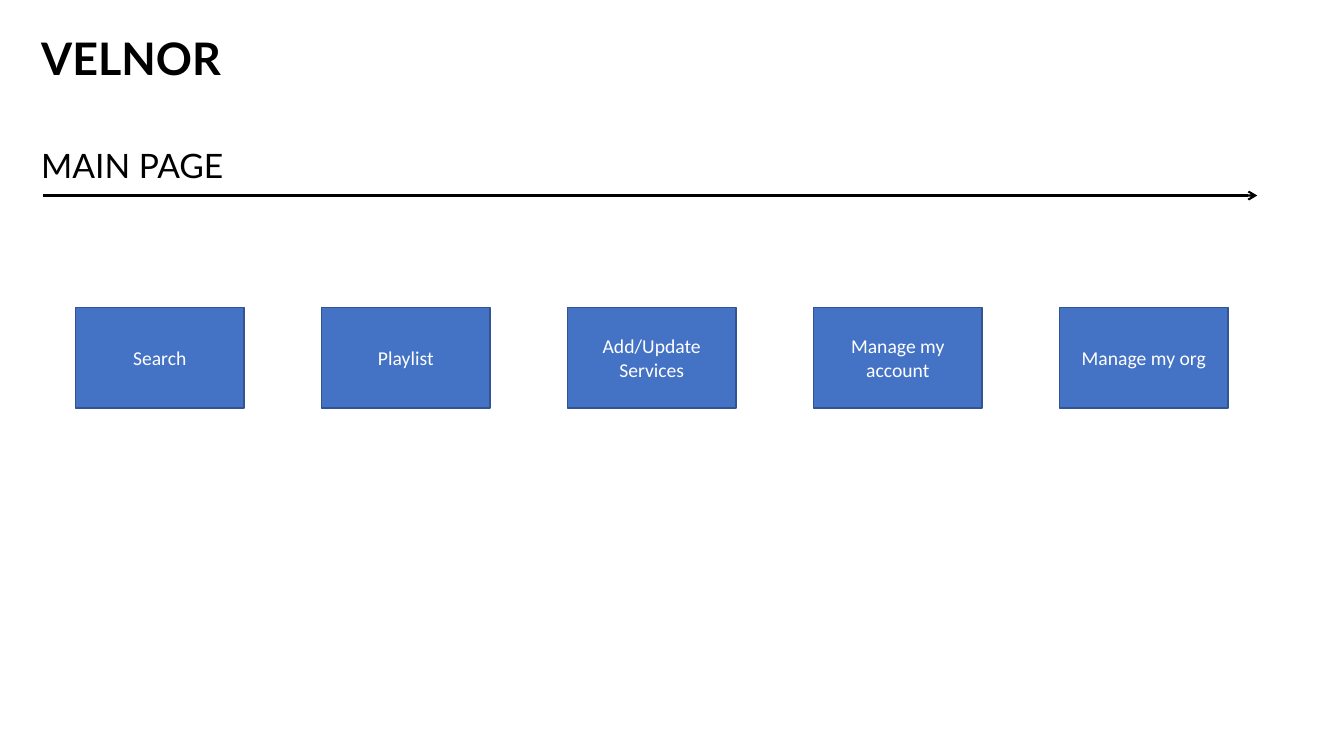
from lxml import etree
from pptx import Presentation
from pptx.dml.color import RGBColor
from pptx.enum import shapes, text
from pptx.oxml import ns
from pptx.util import Inches, Pt

BLACK = RGBColor(0x00, 0x00, 0x00)
WHITE = RGBColor(0xFF, 0xFF, 0xFF)
BLUE = RGBColor(0x44, 0x72, 0xC4)
DARK_BLUE = RGBColor(0x32, 0x54, 0x91)

MENU = ["Search", "Playlist", "Add/Update Services", "Manage my account", "Manage my org"]
MENU_LEFT, MENU_STEP = 0.75, 2.44


def add_heading(page, words, top, width, size, bold):
    """Add a left-aligned heading in Lato."""
    box = page.shapes.add_textbox(Inches(0.31), Inches(top), Inches(width), Inches(0.41))
    box.text_frame.word_wrap = True
    para = box.text_frame.paragraphs[0]
    para.text = words
    para.line_spacing = 0.9
    para.space_before = Pt(10)
    para.font.name = "Lato"
    para.font.size = Pt(size)
    para.font.bold = bold
    para.font.color.rgb = BLACK


deck = Presentation()
deck.slide_width, deck.slide_height = Inches(13.33), Inches(7.5)
page = deck.slides.add_slide(deck.slide_layouts[6])

add_heading(page, "VELNOR", 0.32, 9.89, 32, True)

# Arrow under the page heading
arrow = page.shapes.add_connector(
    shapes.MSO_CONNECTOR.STRAIGHT, Inches(0.43), Inches(1.94), Inches(12.47), Inches(1.94))
arrow.line.color.rgb = BLACK
arrow.line.width = Pt(1.5)
etree.SubElement(arrow.line._get_or_add_ln(), ns.qn("a:tailEnd"), type="arrow")
etree.SubElement(arrow._element.spPr, ns.qn("a:effectLst"))

add_heading(page, "MAIN PAGE", 1.43, 7.09, 24, False)

# Row of menu buttons
for index, label in enumerate(MENU):
    button = page.shapes.add_shape(
        shapes.MSO_SHAPE.RECTANGLE, Inches(MENU_LEFT + index * MENU_STEP), Inches(3.05),
        Inches(1.67), Inches(1))
    button.shadow.inherit = False
    button.fill.solid()
    button.fill.fore_color.rgb = BLUE
    button.line.color.rgb = DARK_BLUE
    button.line.width = Pt(1)
    frame = button.text_frame
    frame.word_wrap = True
    frame.vertical_anchor = text.MSO_ANCHOR.MIDDLE
    para = frame.paragraphs[0]
    para.text = label
    para.alignment = text.PP_ALIGN.CENTER
    para.font.name = "Calibri"
    para.font.size = Pt(14)
    para.font.color.rgb = WHITE

deck.save("out.pptx")
